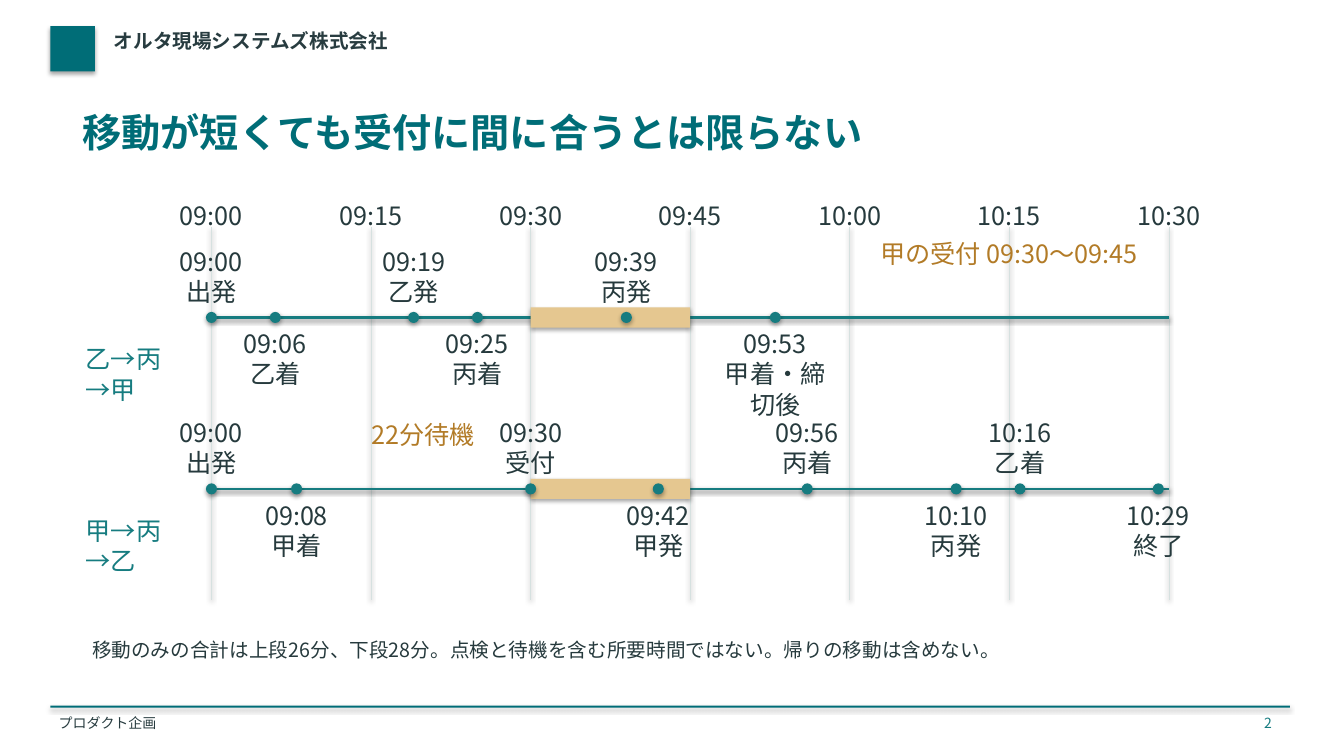
"""Build a slide that compares two visit routes on a shared time axis."""
from lxml import etree
from pptx import Presentation
from pptx.dml.color import RGBColor
from pptx.enum.shapes import MSO_CONNECTOR, MSO_SHAPE
from pptx.enum.text import MSO_ANCHOR, MSO_AUTO_SIZE, PP_ALIGN
from pptx.oxml.ns import qn
from pptx.util import Cm, Pt

STRAIGHT = MSO_CONNECTOR.STRAIGHT
RECT, OVAL = MSO_SHAPE.RECTANGLE, MSO_SHAPE.OVAL
LEFT, CENTER, RIGHT = PP_ALIGN.LEFT, PP_ALIGN.CENTER, PP_ALIGN.RIGHT
TOP, GROW = MSO_ANCHOR.TOP, MSO_AUTO_SIZE.SHAPE_TO_FIT_TEXT

FONT = "Noto Sans CJK JP"
COLORS = {
    "brand": "006D77", "route": "167C80", "ink": "263A3D", "footer": "283C40",
    "grid": "D6E1E0", "window": "E5C790", "accent": "B27B27",
}

TITLE = "移動が短くても受付に間に合うとは限らない"
TICKS = ["09:00", "09:15", "09:30", "09:45", "10:00", "10:15", "10:30"]
WINDOW = ("09:30", "09:45")
ROUTES = [
    ("乙→丙\n→甲", 8.0, [
        ("09:00", "出発"), ("09:06", "乙着"), ("09:19", "乙発"),
        ("09:25", "丙着"), ("09:39", "丙発"), ("09:53", "甲着・締切後"),
    ]),
    ("甲→丙\n→乙", 12.32, [
        ("09:00", "出発"), ("09:08", "甲着"), ("09:30", "受付"), ("09:42", "甲発"),
        ("09:56", "丙着"), ("10:10", "丙発"), ("10:16", "乙着"), ("10:29", "終了"),
    ]),
]
CAPTIONS = [
    ("オルタ現場システムズ株式会社", (2.79, 0.71, 25.4, 1.02), 14, "footer", LEFT, True),
    ("プロダクト企画", (1.4, 17.98, 22.86, 0.56), 10, "footer", LEFT, False),
    ("甲の受付 09:30〜09:45", (22.1, 5.97, 9.4, 0.89), 18, "accent", LEFT, False),
    ("22分待機", (8.0, 10.54, 5.33, 0.89), 18, "accent", CENTER, False),
    ("移動のみの合計は上段26分、下段28分。点検と待機を含む所要時間ではない。帰りの移動は含めない。",
     (2.24, 16.05, 29.21, 1.14), 14, "ink", LEFT, False),
    ("2", (30.86, 17.98, 1.27, 0.56), 10, "route", RIGHT, False),
]

AXIS_LEFT, AXIS_WIDTH = 5.33, 24.13
GRID_TOP, GRID_BOTTOM = 5.72, 15.11
TICK_WIDTH, LABEL_WIDTH, LABEL_HEIGHT = 2.69, 2.79, 1.57
DOT, BAND = 0.28, 0.51


def color(key):
    return RGBColor.from_string(COLORS[key])


def minutes(clock):
    hours, mins = clock.split(":")
    return int(hours) * 60 + int(mins)


def time_x(clock):
    start, end = minutes(TICKS[0]), minutes(TICKS[-1])
    return AXIS_LEFT + AXIS_WIDTH * (minutes(clock) - start) / (end - start)


def write(holder, text, size, key, align=LEFT, bold=False, inset=0.08, margin=0.03):
    frame = holder.text_frame
    layout = {
        "word_wrap": True, "auto_size": GROW, "vertical_anchor": TOP,
        "margin_left": Cm(inset), "margin_right": Cm(inset),
        "margin_top": Cm(margin), "margin_bottom": Cm(margin),
    }
    for name, value in layout.items():
        setattr(frame, name, value)
    paragraph = frame.paragraphs[0]
    paragraph.text = text
    paragraph.alignment = align
    for run in paragraph.runs:
        for name, value in {"name": FONT, "size": Pt(size), "bold": bold}.items():
            setattr(run.font, name, value)
        run.font.color.rgb = color(key)
        east_asian = etree.SubElement(run._r.get_or_add_rPr(), qn("a:ea"))
        east_asian.set("typeface", FONT)


def add_text(slide, text, box, size, key, align=LEFT, bold=False):
    write(slide.shapes.add_textbox(*map(Cm, box)), text, size, key, align, bold)


def add_block(slide, preset, box, key):
    block = slide.shapes.add_shape(preset, *map(Cm, box))
    block.fill.solid()
    block.fill.fore_color.rgb = color(key)
    block.line.fill.background()


def add_line(slide, ends, key, width):
    line = slide.shapes.add_connector(STRAIGHT, *map(Cm, ends))
    line.line.color.rgb = color(key)
    line.line.width = Pt(width)


def add_route(slide, name, y, events):
    add_text(slide, name, (2.08, y + 0.63, 3.3, 1.78), 18, "route")
    add_line(slide, (AXIS_LEFT, y, AXIS_LEFT + AXIS_WIDTH, y), "route", 2)
    opening, closing = map(time_x, WINDOW)
    add_block(slide, RECT, (opening, y - BAND / 2, closing - opening, BAND), "window")
    for index, (clock, event) in enumerate(events):
        x = time_x(clock)
        top = y + 0.25 if index % 2 else y - 1.83
        add_block(slide, OVAL, (x - DOT / 2, y - DOT / 2, DOT, DOT), "route")
        add_text(slide, f"{clock}\n{event}",
                 (x - LABEL_WIDTH / 2, top, LABEL_WIDTH, LABEL_HEIGHT), 18, "ink", CENTER)


def main():
    deck = Presentation()
    deck.slide_width, deck.slide_height = Cm(33.87), Cm(19.05)
    slide = deck.slides.add_slide(deck.slide_layouts[5])

    title = slide.shapes.title
    place = {"left": 2.03, "top": 2.67, "width": 29.72, "height": 1.91}
    for name, value in place.items():
        setattr(title, name, Cm(value))
    write(title, TITLE, 28, "brand", bold=True, inset=0.05, margin=0.05)

    add_block(slide, RECT, (1.27, 0.66, 1.12, 1.14), "brand")
    add_block(slide, RECT, (1.27, 17.78, 31.24, 0.05), "brand")
    for tick in TICKS:
        x = time_x(tick)
        add_line(slide, (x, GRID_TOP, x, GRID_BOTTOM), "grid", 0.6)
        add_text(slide, tick, (x - TICK_WIDTH / 2, 5.03, TICK_WIDTH, 0.81), 18, "ink", CENTER)
    for name, y, events in ROUTES:
        add_route(slide, name, y, events)
    for caption in CAPTIONS:
        add_text(slide, *caption)
    deck.save("out.pptx")


if __name__ == "__main__":
    main()
